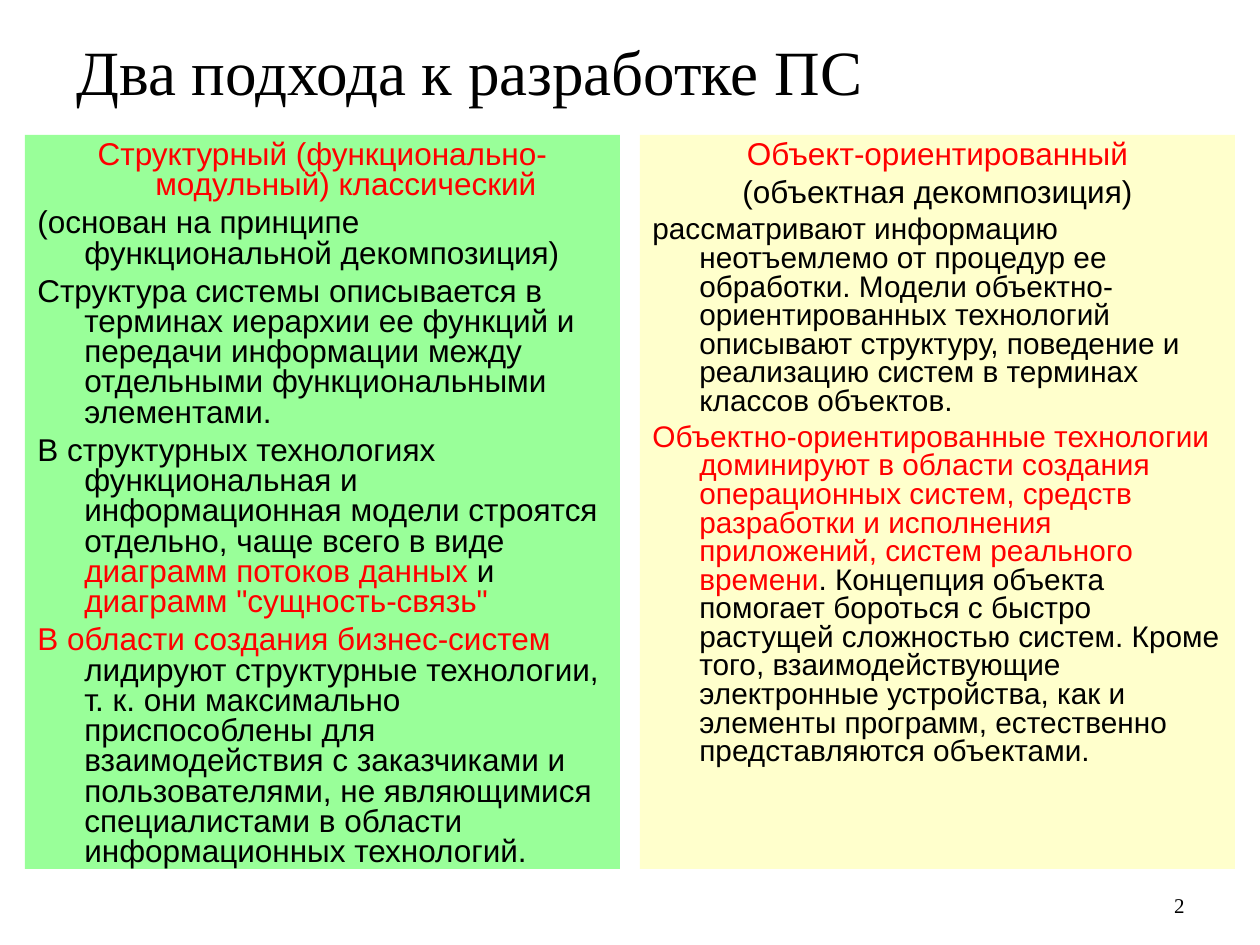
from pptx import Presentation
from pptx.dml.color import RGBColor
from pptx.enum.shapes import MSO_SHAPE as Shape
from pptx.enum.text import MSO_ANCHOR as Anchor, PP_ALIGN as Align
from pptx.util import Pt

EMU_PER_PX = 914400 / 126
BLACK, RED = "000000", "FF0000"
GREEN, CREAM = "99FF99", "FFFFCC"
SERIF, SANS = "Times New Roman", "Arial"

STRUCTURAL = [
    (Align.CENTER, 18, [("Структурный (функционально-модульный) классический", RED)]),
    (Align.LEFT, 18, [("(основан на принципе функциональной декомпозиция)", BLACK)]),
    (Align.LEFT, 18, [("Структура системы описывается в терминах иерархии ее функций и "
                       "передачи информации между отдельными функциональными элементами.", BLACK)]),
    (Align.LEFT, 18, [("В структурных технологиях функциональная и информационная модели "
                       "строятся отдельно, чаще всего в виде ", BLACK),
                      ("диаграмм потоков данных", RED),
                      (" и ", BLACK),
                      ('диаграмм "сущность-связь"', RED)]),
    (Align.LEFT, 18, [("В области создания бизнес-систем", RED),
                      (" лидируют структурные технологии, т. к. они максимально приспособлены "
                       "для взаимодействия с заказчиками и пользователями, не являющимися "
                       "специалистами в области информационных технологий.", BLACK)]),
]

OBJECT_ORIENTED = [
    (Align.CENTER, 18, [("Объект-ориентированный", RED)]),
    (Align.CENTER, 18, [("(объектная декомпозиция)", BLACK)]),
    (Align.LEFT, 17, [("рассматривают информацию неотъемлемо от процедур ее обработки. "
                       "Модели объектно-ориентированных технологий описывают структуру, "
                       "поведение и реализацию систем в терминах классов объектов.", BLACK)]),
    (Align.LEFT, 17, [("Объектно-ориентированные технологии доминируют в области создания "
                       "операционных систем, средств разработки и исполнения приложений, "
                       "систем реального времени", RED),
                      (". Концепция объекта помогает бороться с быстро растущей сложностью "
                       "систем. Кроме того, взаимодействующие электронные устройства, как и "
                       "элементы программ, естественно представляются объектами.", BLACK)]),
]


def px(length):
    return round(length * EMU_PER_PX)


def color(hex_value):
    return RGBColor.from_string(hex_value)


def add_label(slide, box, text, size, align, anchor):
    label = slide.shapes.add_textbox(*map(px, box))
    frame = label.text_frame
    frame.word_wrap = True
    frame.vertical_anchor = anchor
    paragraph = frame.paragraphs[0]
    paragraph.text = text
    paragraph.alignment = align
    paragraph.font.name = SERIF
    paragraph.font.size = Pt(size)
    paragraph.font.color.rgb = color(BLACK)


def add_panel(slide, box, fill, content):
    panel = slide.shapes.add_shape(Shape.RECTANGLE, *map(px, box))
    panel.shadow.inherit = False
    panel.fill.solid()
    panel.fill.fore_color.rgb = color(fill)
    panel.line.fill.background()
    frame = panel.text_frame
    frame.word_wrap = True
    frame.vertical_anchor = Anchor.TOP
    for index, (align, size, runs) in enumerate(content):
        paragraph = frame.add_paragraph() if index else frame.paragraphs[0]
        paragraph.alignment = align
        paragraph.line_spacing = 0.8
        paragraph.space_before = Pt(size / 4 if index else 0)
        properties = paragraph._p.get_or_add_pPr()
        properties.set("marL", str(px(47)))
        properties.set("indent", str(px(-47)))
        paragraph.font.name = SANS
        paragraph.font.size = Pt(size)
        for text, run_color in runs:
            run = paragraph.add_run()
            run.text = text
            run.font.color.rgb = color(run_color)


def main():
    presentation = Presentation()
    presentation.slide_width = px(1260)
    presentation.slide_height = px(945)
    slide = presentation.slides.add_slide(presentation.slide_layouts[6])

    add_label(slide, (903, 861, 294, 63), "2", 12, Align.RIGHT, Anchor.BOTTOM)
    add_label(slide, (64, 26, 1134, 158), "Два подхода к разработке ПС",
              36, Align.LEFT, Anchor.TOP)

    margin, top, width, height = 25, 135, 595, 734
    columns = [(GREEN, STRUCTURAL), (CREAM, OBJECT_ORIENTED)]
    for left, (fill, content) in zip((margin, 1260 - margin - width), columns):
        add_panel(slide, (left, top, width, height), fill, content)

    presentation.save("out.pptx")


if __name__ == "__main__":
    main()
